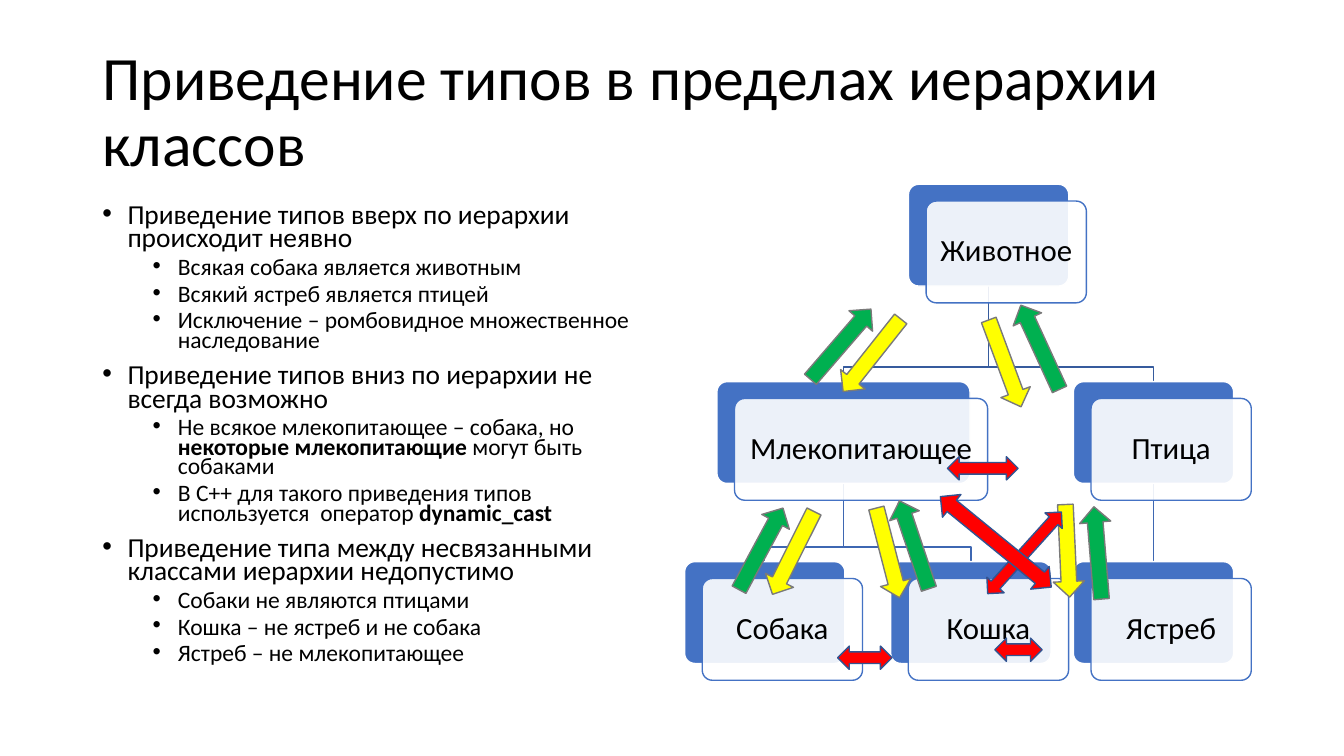
import pptx
import pptx.util
import pptx.dml.color
import pptx.enum.shapes
import pptx.enum.text
import pptx.oxml
import pptx.oxml.ns
import lxml.etree

Pt = pptx.util.Pt
RGB = pptx.dml.color.RGBColor
SHAPES = pptx.enum.shapes.MSO_SHAPE
ALIGN = pptx.enum.text.PP_ALIGN
MIDDLE = pptx.enum.text.MSO_ANCHOR.MIDDLE

BLACK = RGB(0x00, 0x00, 0x00)
WHITE = RGB(0xFF, 0xFF, 0xFF)
BLUE = RGB(0x44, 0x72, 0xC4)
DARK_BLUE = RGB(0x32, 0x54, 0x91)
LINK_UPPER = RGB(0x36, 0x5B, 0x9D)
LINK_LOWER = RGB(0x3E, 0x67, 0xB2)
GREEN = RGB(0x00, 0xB0, 0x50)
YELLOW = RGB(0xFF, 0xFF, 0x00)
RED = RGB(0xFF, 0x00, 0x00)
GRAY = RGB(0x7A, 0x7A, 0x7A)


def add_filled(preset, left, top, width, height, fill, line):
    shape = slide.shapes.add_shape(preset, Pt(left), Pt(top), Pt(width), Pt(height))
    shape.shadow.inherit = False
    shape.fill.solid()
    shape.fill.fore_color.rgb = fill
    shape.line.color.rgb = line
    shape.line.width = Pt(1)
    return shape


def add_run(paragraph, text, size, bold=False):
    run = paragraph.add_run()
    run.text = text
    for attribute, value in {"name": "Calibri", "size": Pt(size), "bold": bold}.items():
        setattr(run.font, attribute, value)
    run.font.color.rgb = BLACK


deck = pptx.Presentation()
deck.slide_width, deck.slide_height = Pt(960), Pt(540)
slide = deck.slides.add_slide(deck.slide_layouts[5])

# Title
title = slide.shapes.title
for attribute, value in {"left": 66, "top": 28.8, "width": 828, "height": 104.4}.items():
    setattr(title, attribute, Pt(value))
title_format = {"vertical_anchor": MIDDLE, "word_wrap": True,
                "auto_size": pptx.enum.text.MSO_AUTO_SIZE.NONE}
for attribute, value in title_format.items():
    setattr(title.text_frame, attribute, value)
heading = title.text_frame.paragraphs[0]
heading.alignment = ALIGN.LEFT
heading.line_spacing = 0.9
add_run(heading, "Приведение типов в пределах иерархии классов", 44)

# Rules of casting: level, then plain and bold pieces in turn
rules = [
    (0, ["Приведение типов вверх по иерархии происходит неявно"]),
    (1, ["Всякая собака является животным"]),
    (1, ["Всякий ястреб является птицей"]),
    (1, ["Исключение – ромбовидное множественное наследование"]),
    (0, ["Приведение типов вниз по иерархии не всегда возможно"]),
    (1, ["Не всякое млекопитающее – собака, но ", "некоторые млекопитающие",
         " могут быть собаками"]),
    (1, ["В C++ для такого приведения типов используется  оператор ", "dynamic_cast"]),
    (0, ["Приведение типа между несвязанными классами иерархии недопустимо"]),
    (1, ["Собаки не являются птицами"]),
    (1, ["Кошка – не ястреб и не собака"]),
    (1, ["Ястреб – не млекопитающее"]),
]
level_formats = [{"size": 19.6, "before": 10, "margin": 18},
                 {"size": 16.8, "before": 5, "margin": 54}]
rules_frame = slide.shapes.add_textbox(Pt(66), Pt(144), Pt(408), Pt(342.7)).text_frame
rules_frame.word_wrap = True
for index, (level, pieces) in enumerate(rules):
    look = level_formats[level]
    rule = rules_frame.add_paragraph() if index else rules_frame.paragraphs[0]
    rule_format = {"level": level, "line_spacing": 0.7, "space_before": Pt(look["before"])}
    for attribute, value in rule_format.items():
        setattr(rule, attribute, value)
    properties = rule._p.get_or_add_pPr()
    properties.set("marL", str(Pt(look["margin"])))
    properties.set("indent", str(Pt(-18)))
    bullet_font = lxml.etree.SubElement(properties, pptx.oxml.ns.qn("a:buFont"))
    bullet_font.set("typeface", "Arial")
    bullet = lxml.etree.SubElement(properties, pptx.oxml.ns.qn("a:buChar"))
    bullet.set("char", "•")
    for position, piece in enumerate(pieces):
        add_run(rule, piece, look["size"], bold=position % 2 == 1)

# Class tree: left, top and width of each back card
CARD_WIDTH, CARD_HEIGHT = 114.5, 72.7
FRONT_X, FRONT_Y = 12.6, 12
TOP_ROW, MIDDLE_ROW, BOTTOM_ROW = 131.6, 272.6, 401.2
classes = {
    "Животное": (648.9, TOP_ROW, CARD_WIDTH),
    "Млекопитающее": (512.1, MIDDLE_ROW, 180.8),
    "Собака": (489, BOTTOM_ROW, CARD_WIDTH),
    "Кошка": (636.2, BOTTOM_ROW, CARD_WIDTH),
    "Птица": (766.7, MIDDLE_ROW, CARD_WIDTH),
    "Ястреб": (766.7, BOTTOM_ROW, CARD_WIDTH),
}

# Links from parent to child, behind the cards
links = [("Птица", "Ястреб", LINK_LOWER), ("Животное", "Птица", LINK_UPPER),
         ("Млекопитающее", "Кошка", LINK_LOWER), ("Млекопитающее", "Собака", LINK_LOWER),
         ("Животное", "Млекопитающее", LINK_UPPER)]
for parent, child, color in links:
    parent_left, parent_top, parent_width = classes[parent]
    child_left, child_top, child_width = classes[child]
    start_x, end_x = parent_left + parent_width / 2, child_left + child_width / 2
    start_y, bend_y = parent_top + CARD_HEIGHT, child_top - 10.5
    if start_x == end_x:
        link = slide.shapes.add_connector(pptx.enum.shapes.MSO_CONNECTOR.STRAIGHT,
                                          Pt(start_x), Pt(start_y), Pt(end_x), Pt(child_top))
        lxml.etree.SubElement(link._element.spPr, pptx.oxml.ns.qn("a:effectLst"))
    else:
        outline = slide.shapes.build_freeform(Pt(start_x), Pt(start_y))
        outline.add_line_segments([(Pt(start_x), Pt(bend_y)), (Pt(end_x), Pt(bend_y)),
                                   (Pt(end_x), Pt(child_top))], close=False)
        link = outline.convert_to_shape()
        link.shadow.inherit = False
        link.fill.background()
    link.line.color.rgb = color
    link.line.width = Pt(1)

# Cards: blue back and translucent front with the class name
for class_name, (left, top, width) in classes.items():
    back = add_filled(SHAPES.ROUNDED_RECTANGLE, left, top, width, CARD_HEIGHT, BLUE, WHITE)
    front = add_filled(SHAPES.ROUNDED_RECTANGLE, left + FRONT_X, top + FRONT_Y,
                       width, CARD_HEIGHT, WHITE, BLUE)
    for card in (back, front):
        card.adjustments[0] = 0.1
    front_color = front.fill._xPr.find(".//" + pptx.oxml.ns.qn("a:srgbClr"))
    lxml.etree.SubElement(front_color, pptx.oxml.ns.qn("a:alpha")).set("val", "90000")
    label = front.text_frame
    label_format = {"margin_left": Pt(6.5), "margin_right": Pt(6.5), "margin_top": Pt(6.5),
                    "margin_bottom": Pt(6.5), "vertical_anchor": MIDDLE, "word_wrap": True}
    for attribute, value in label_format.items():
        setattr(label, attribute, value)
    label.paragraphs[0].alignment = ALIGN.CENTER
    label.paragraphs[0].line_spacing = 0.9
    add_run(label.paragraphs[0], class_name, 22)

# Upcasts in green, downcasts in yellow: left, top, rotation
casts = {
    GREEN: [(567.4, 234.7, 310.8), (709.9, 236.9, 245.3), (510.5, 380.9, 298.3),
            (619.9, 378, 251.5), (751, 383.8, 265.3)],
    YELLOW: [(589.7, 242.6, 128.4), (684.7, 248.4, 69.6), (729.4, 382.3, 87.4),
             (601.2, 383.8, 75.5), (533.5, 383.8, 116.6)],
}
for color, arrows in casts.items():
    for left, top, rotation in arrows:
        cast = add_filled(SHAPES.RIGHT_ARROW, left, top, 66.2, 22.3, color, GRAY)
        cast.rotation = rotation

# Forbidden casts in red: left, top, width, height, rotation
forbidden_casts = [(692.6, 386.6, 78.5, 16.6, 312.1), (676.8, 326.2, 50.4, 16.6, 0),
                   (598.3, 461.5, 38.9, 16.6, 0), (710.6, 455.8, 33.8, 16.6, 0),
                   (660.2, 376.6, 102.2, 20.9, 39.2)]
for left, top, width, height, rotation in forbidden_casts:
    forbidden = add_filled(SHAPES.LEFT_RIGHT_ARROW, left, top, width, height, RED, DARK_BLUE)
    forbidden.rotation = rotation

deck.save("out.pptx")
